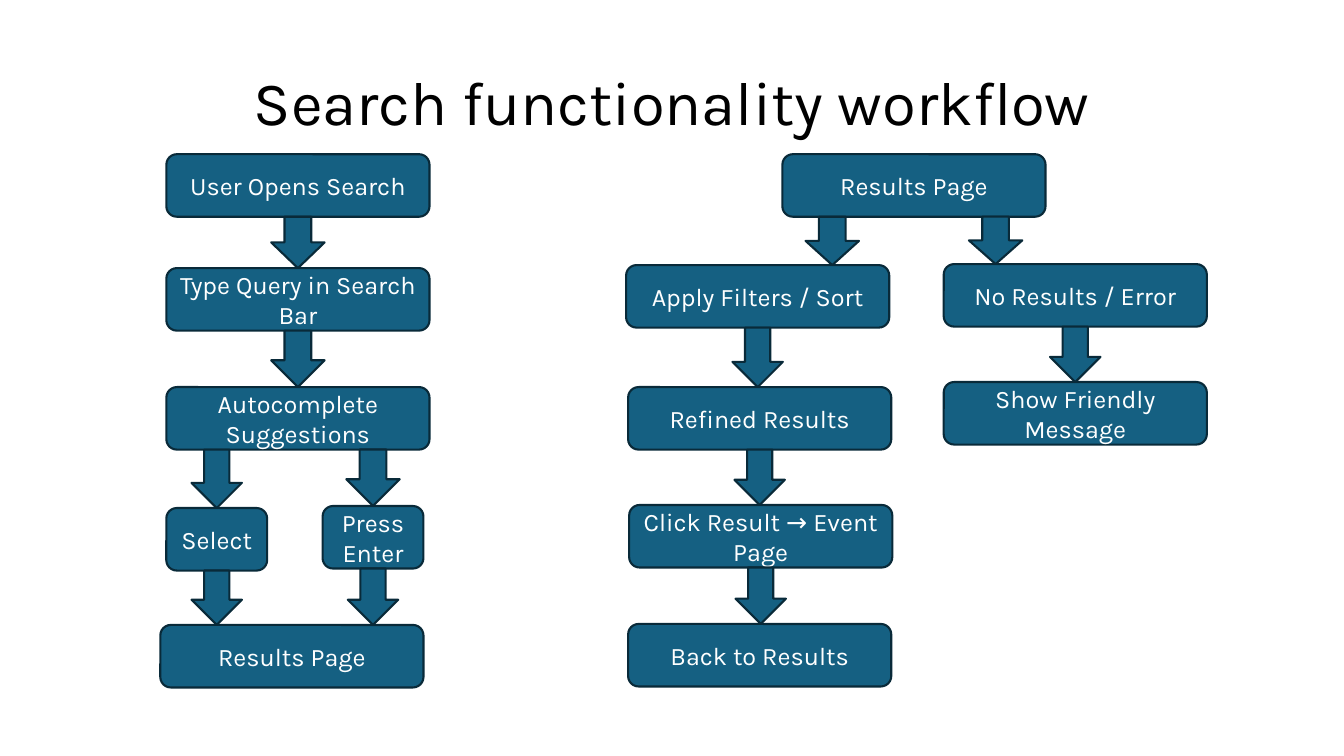
from pptx import Presentation
from pptx.dml.color import RGBColor
from pptx.enum.shapes import MSO_SHAPE as Preset
from pptx.enum.text import MSO_ANCHOR as Anchor, PP_ALIGN as Align
from pptx.util import Inches, Pt

TITLE = "Search functionality workflow"
TITLE_AREA = (0.92, 0.32, 11.5, 1.45)

WIDE, NARROW = 2.61, 1.0
STEP_HEIGHT = 0.62
STEPS = {
    "open": ("User Opens Search", 1.65, 1.53, WIDE),
    "query": ("Type Query in Search Bar", 1.65, 2.66, WIDE),
    "suggest": ("Autocomplete Suggestions", 1.65, 3.84, WIDE),
    "select": ("Select", 1.65, 5.04, NARROW),
    "enter": ("Press Enter", 3.2, 5.02, NARROW),
    "found": ("Results Page", 1.59, 6.2, WIDE),
    "results": ("Results Page", 7.76, 1.53, WIDE),
    "filter": ("Apply Filters / Sort", 6.21, 2.63, WIDE),
    "refined": ("Refined Results", 6.23, 3.84, WIDE),
    "click": ("Click Result → Event Page", 6.24, 5.01, WIDE),
    "back": ("Back to Results", 6.23, 6.19, WIDE),
    "error": ("No Results / Error", 9.36, 2.62, WIDE),
    "message": ("Show Friendly Message", 9.36, 3.79, WIDE),
}

BROAD, SLIM = 0.53, 0.5
BRANCH = 0.81
FLOWS = [
    ("open", "query", BROAD, 0),
    ("query", "suggest", BROAD, 0),
    ("suggest", "select", SLIM, 0),
    ("suggest", "enter", BROAD, 0),
    ("select", "found", SLIM, 0),
    ("enter", "found", SLIM, 0),
    ("results", "filter", BROAD, -BRANCH),
    ("results", "error", BROAD, BRANCH),
    ("filter", "refined", SLIM, 0),
    ("refined", "click", SLIM, 0),
    ("click", "back", SLIM, 0),
    ("error", "message", SLIM, 0),
]

THEME = {
    "font": "Karla",
    "title_size": Pt(44),
    "step_size": Pt(18),
    "outline_width": Pt(1.5),
    "title": RGBColor.from_string("000000"),
    "label": RGBColor.from_string("FFFFFF"),
    "fill": RGBColor.from_string("156082"),
    "outline": RGBColor.from_string("092A39"),
}


def write(frame, wording, size, color):
    frame.word_wrap = True
    frame.vertical_anchor = Anchor.MIDDLE
    paragraph = frame.paragraphs[0]
    paragraph.text = wording
    paragraph.alignment = Align.CENTER
    paragraph.font.name = THEME["font"]
    paragraph.font.size = size
    paragraph.font.color.rgb = color
    return paragraph


def add_block(slide, preset, *area):
    block = slide.shapes.add_shape(preset, *map(Inches, area))
    block.shadow.inherit = False
    block.fill.solid()
    block.fill.fore_color.rgb = THEME["fill"]
    block.line.color.rgb = THEME["outline"]
    block.line.width = THEME["outline_width"]
    return block


def add_title(slide):
    heading = slide.shapes.add_textbox(*map(Inches, TITLE_AREA))
    line = write(heading.text_frame, TITLE, THEME["title_size"], THEME["title"])
    line.line_spacing = 0.9


def add_step(slide, label, left, top, width):
    step = add_block(slide, Preset.ROUNDED_RECTANGLE, left, top, width, STEP_HEIGHT)
    write(step.text_frame, label, THEME["step_size"], THEME["label"])


def add_flow(slide, source, target, width, shift):
    ends = STEPS[source], STEPS[target]
    _, left, _, step_width = min(ends, key=lambda step: step[3])
    center = left + step_width / 2 + shift
    top = ends[0][2] + STEP_HEIGHT
    add_block(slide, Preset.DOWN_ARROW, center - width / 2, top, width, ends[1][2] - top)


def main():
    deck = Presentation()
    deck.slide_width, deck.slide_height = Inches(13.33), Inches(7.5)
    slide = deck.slides.add_slide(deck.slide_layouts[6])
    add_title(slide)
    for step in STEPS.values():
        add_step(slide, *step)
    for flow in FLOWS:
        add_flow(slide, *flow)
    deck.save("out.pptx")


if __name__ == "__main__":
    main()
